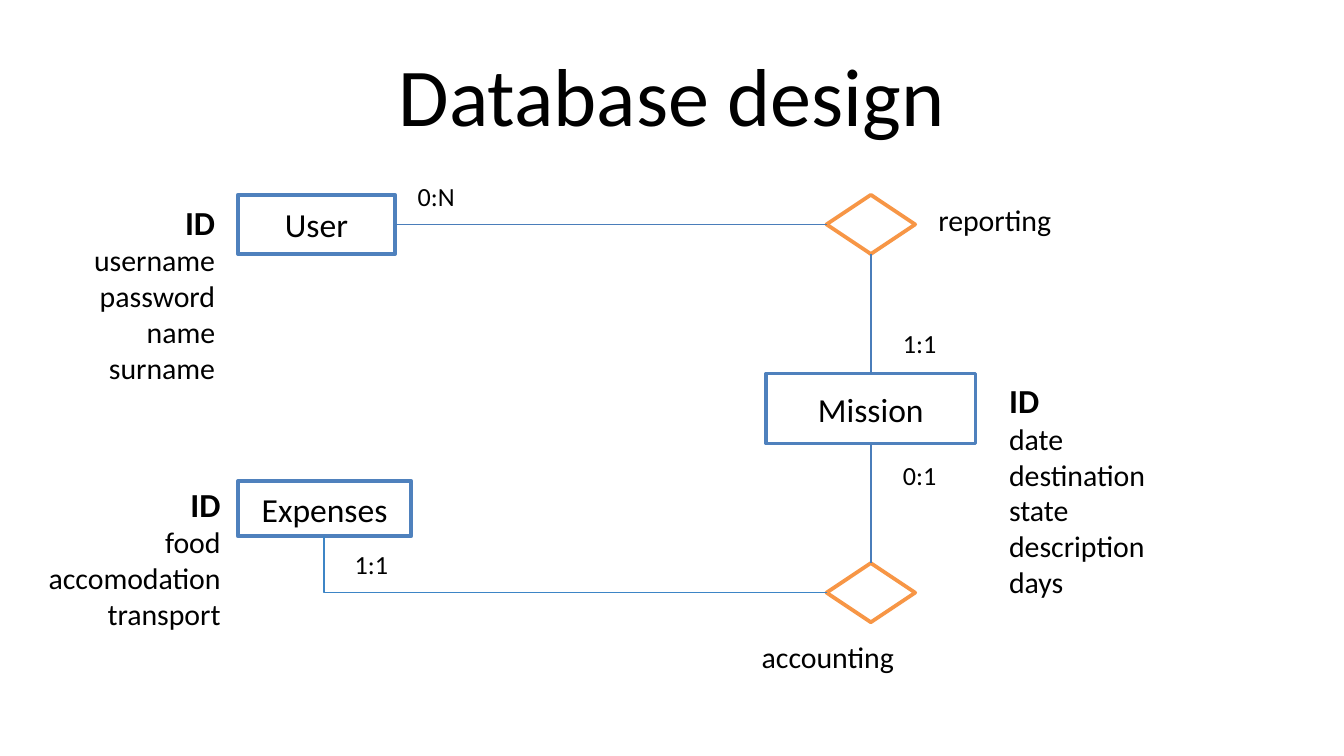
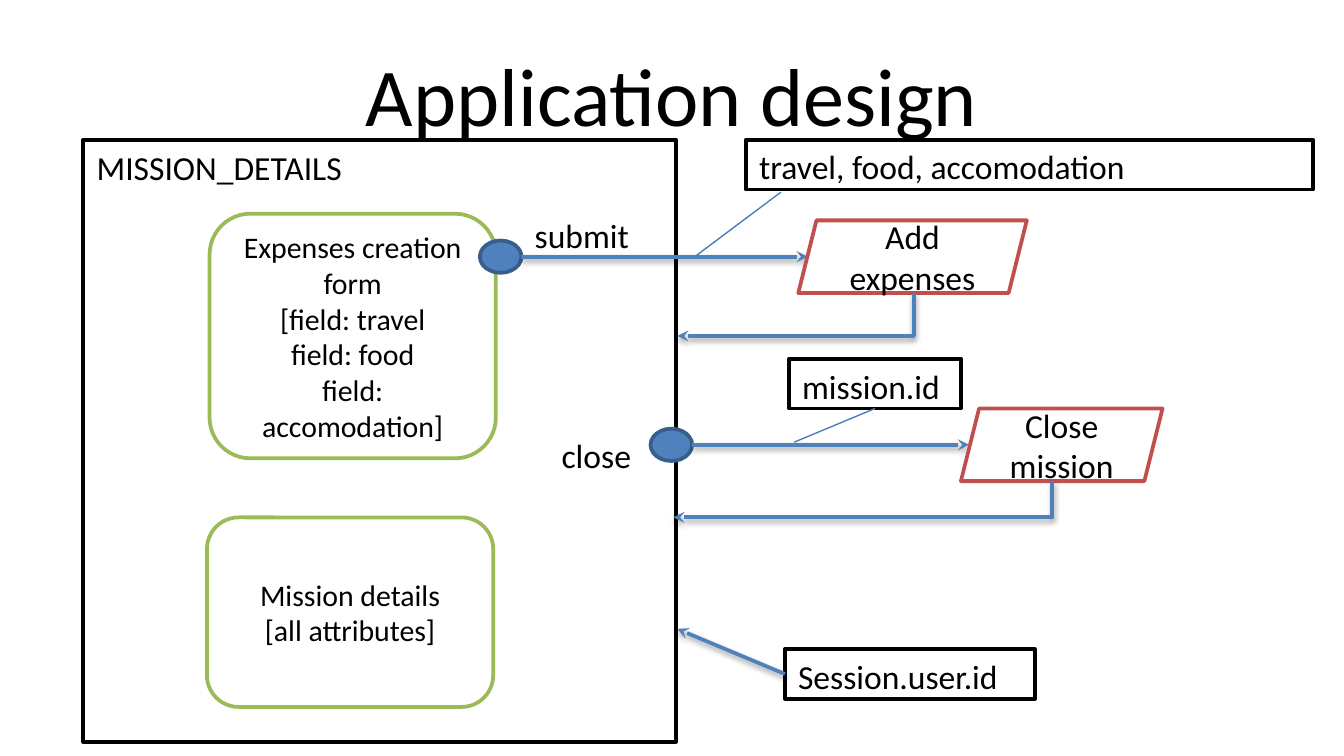
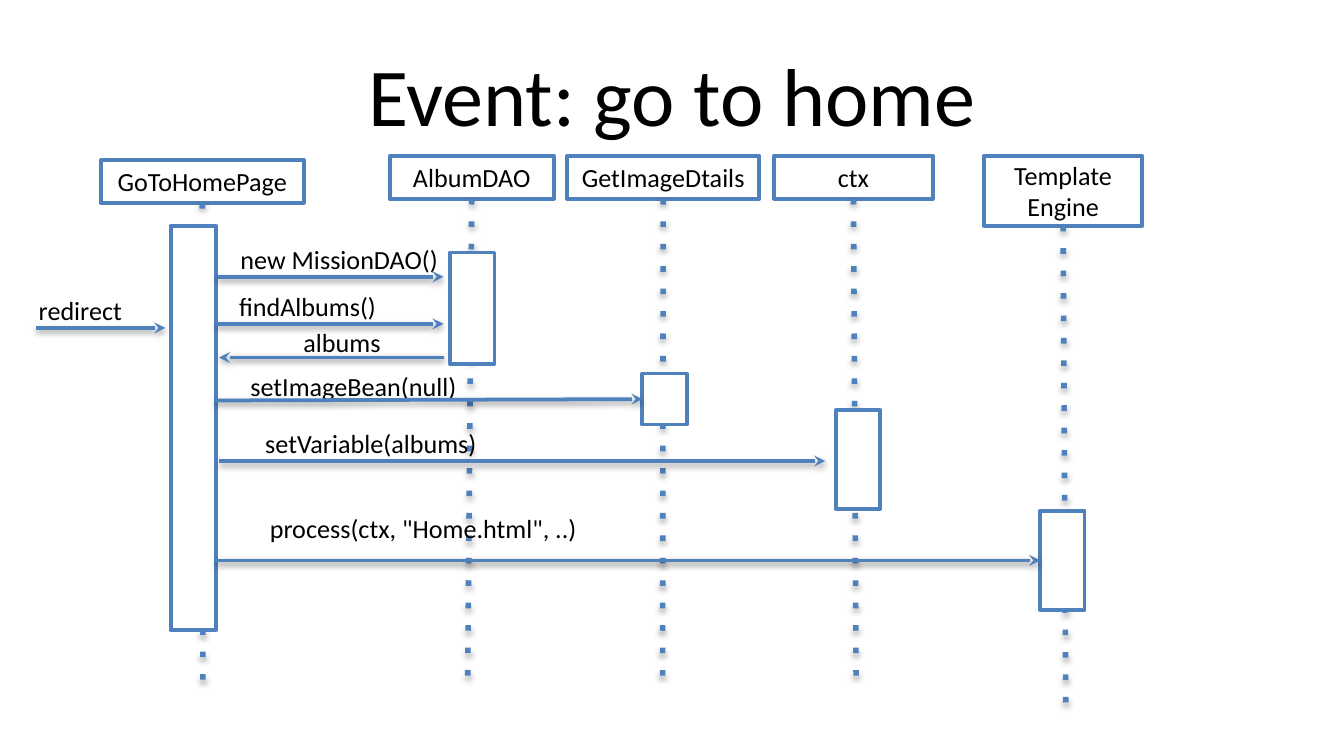
from lxml.etree import SubElement
from pptx import Presentation
from pptx.dml.color import RGBColor
from pptx.enum.shapes import MSO_CONNECTOR, MSO_SHAPE
from pptx.enum.text import MSO_ANCHOR, MSO_AUTO_SIZE, PP_ALIGN
from pptx.oxml.ns import qn
from pptx.util import Pt

PX = 9144
FONT = "Calibri"
COLORS = {
    "white": "FFFFFF",
    "black": "000000",
    "blue": "4F81BD",
    "thin": "4A7DBA",
    "sky": "3D85C6",
    "navy": "395E89",
    "orange": "F79646",
    "green": "9BBB59",
    "red": "C0504D",
}
LEFT, CENTER, RIGHT = PP_ALIGN.LEFT, PP_ALIGN.CENTER, PP_ALIGN.RIGHT


def rgb(name):
    return RGBColor.from_string(COLORS[name])


def emu(*lengths):
    return [n * PX for n in lengths]


def write(shape, lines, size, align=LEFT, anchor=MSO_ANCHOR.TOP, bold_first=False):
    tf = shape.text_frame
    tf.word_wrap = True
    tf.auto_size = MSO_AUTO_SIZE.NONE
    tf.vertical_anchor = anchor
    for i, line in enumerate(lines):
        p = tf.paragraphs[0] if i == 0 else tf.add_paragraph()
        p.text = line
        p.alignment = align
        heading = bold_first and i == 0
        points = size + 2 if heading else size
        for r in p.runs:
            r.font.name = FONT
            r.font.size = Pt(points)
            r.font.bold = heading
            r.font.color.rgb = rgb("black")
        for br in p._p.findall(qn("a:br")):
            SubElement(br, qn("a:rPr"), sz=str(points * 100))


def add_label(s, box, lines, size, align=LEFT, bold_first=False):
    write(s.shapes.add_textbox(*emu(*box)), lines, size, align, bold_first=bold_first)


def add_box(s, kind, box, line, lines=(), size=18, align=CENTER,
            anchor=MSO_ANCHOR.MIDDLE, fill="white"):
    sp = s.shapes.add_shape(kind, *emu(*box))
    sp.shadow.inherit = False
    sp.fill.solid()
    sp.fill.fore_color.rgb = rgb(fill)
    sp.line.color.rgb = rgb(line)
    sp.line.width = Pt(2)
    write(sp, lines, size, align, anchor)
    return sp


def add_line(s, start, end, color="thin", width=0.75, dash=None, arrow=False, shadow=None):
    c = s.shapes.add_connector(MSO_CONNECTOR.STRAIGHT, *emu(*start, *end))
    c.line.color.rgb = rgb(color)
    c.line.width = Pt(width)
    ln = c.line._get_or_add_ln()
    if dash:
        SubElement(ln, qn("a:prstDash"), val=dash)
    if arrow:
        SubElement(ln, qn("a:tailEnd"), type="stealth")
    effects = SubElement(c._element.spPr, qn("a:effectLst"))
    if shadow:
        dist, alpha = shadow
        shade = SubElement(effects, qn("a:outerShdw"), blurRad="40000", dist=str(dist),
                           dir="5400000", rotWithShape="0")
        tone = SubElement(shade, qn("a:srgbClr"), val=COLORS["black"])
        SubElement(tone, qn("a:alpha"), val=str(alpha * 1000))
    return c


def add_arrow(s, start, end):
    return add_line(s, start, end, "blue", 2, arrow=True, shadow=(20000, 38))


def bend_down_then_across(c):
    rightward = c.end_x > c.begin_x
    mid_x, mid_y = (c.begin_x + c.end_x) // 2, (c.begin_y + c.end_y) // 2
    c.width, c.height = c.height, c.width
    c.left, c.top = mid_x - c.width // 2, mid_y - c.height // 2
    spPr = c._element.spPr
    spPr.find(qn("a:prstGeom")).set("prst", "bentConnector2")
    xfrm = spPr.find(qn("a:xfrm"))
    xfrm.set("rot", "16200000" if rightward else "5400000")
    xfrm.set("flipH", "1" if rightward else "0")


def add_slide(prs, title):
    s = prs.slides.add_slide(prs.slide_layouts[5])
    sp = s.shapes.title
    sp.left, sp.top, sp.width, sp.height = emu(50, 23, 900, 94)
    write(sp, [title], 44, CENTER, MSO_ANCHOR.MIDDLE)
    return s


def add_entity(s, box, name, attributes, offset, size, align):
    x, y = box[:2]
    add_label(s, (x + offset[0], y + offset[1], *size), ["ID"] + attributes, 16, align, True)
    return add_box(s, MSO_SHAPE.RECTANGLE, box, "blue", [name])


def add_relation(s, x, y, name, offset, width):
    add_label(s, (x + offset[0], y + offset[1], width, 28), [name], 16, RIGHT)
    return add_box(s, MSO_SHAPE.DIAMOND, (x, y, 66, 44), "orange")


def database_slide(prs):
    s = add_slide(prs, "Database design")
    add_entity(s, (177, 358, 129, 41), "Expenses", ["food", "accomodation", "transport"],
               (-172, -3), (169, 125), RIGHT)
    user = add_entity(s, (177, 145, 117, 44), "User",
                      ["username", "password", "name", "surname"],
                      (-154, 0), (147, 142), RIGHT)
    mission = add_entity(s, (570, 278, 156, 52), "Mission",
                         ["date", "destination", "state", "description", "days"],
                         (171, 0), (162, 187), LEFT)
    reporting = add_relation(s, 615, 145, "reporting", (72, 0), 105)
    accounting = add_relation(s, 615, 419, "accounting", (-60, 51), 120)
    for start, start_side, end, end_side in [
        (user, 3, reporting, 1),
        (reporting, 2, mission, 0),
        (accounting, 0, mission, 2),
    ]:
        c = add_line(s, (0, 0), (0, 0))
        c.begin_connect(start, start_side)
        c.end_connect(end, end_side)
    bend_down_then_across(add_line(s, (241, 399), (615, 441), "sky"))
    for x, y, cardinality in [(301, 129, "0:N"), (662, 337, "0:1"),
                              (254, 403, "1:1"), (662, 239, "1:1")]:
        add_label(s, (x, y, 56, 28), [cardinality], 14)


def add_page(s, x, y):
    add_box(s, MSO_SHAPE.RECTANGLE, (x, y, 441, 448), "black", ["MISSION_DETAILS"],
            align=LEFT, anchor=MSO_ANCHOR.TOP)
    for dx, dy, height, lines in [
        (94, 55, 182, ["Expenses creation form\n[field: travel", "field: food",
                       "field: accomodation]"]),
        (92, 281, 141, ["Mission details\n[all attributes]"]),
    ]:
        add_box(s, MSO_SHAPE.ROUNDED_RECTANGLE, (x + dx, y + dy, 213, height),
                "green", lines, 16)


def add_event(s, x, y, name, offset, arrow_end):
    add_box(s, MSO_SHAPE.OVAL, (x, y, 31, 24), "navy", fill="blue")
    add_label(s, (x + offset[0], y + offset[1], 91, 30), [name], 18)
    add_arrow(s, (x + 31, y + 12), (arrow_end, y + 12))


def add_action(s, box, name, back_from, back_to):
    add_box(s, MSO_SHAPE.PARALLELOGRAM, box, "red", [name])
    bend_down_then_across(add_arrow(s, (back_from, box[1] + box[3]), back_to))


def add_parameter(s, x, y, width, name):
    return add_box(s, MSO_SHAPE.RECTANGLE, (x, y, width, 37), "black", [name],
                   align=LEFT, anchor=MSO_ANCHOR.TOP)


def application_slide(prs):
    s = add_slide(prs, "Application design")
    add_page(s, 62, 104)
    add_event(s, 357, 179, "submit", (31, -24), 601)
    add_event(s, 484, 319, "close", (-76, 0), 721)
    add_action(s, (594, 164, 170, 54), "Add expenses", 680, (504, 250))
    add_action(s, (715, 304, 150, 54), "Close mission", 783, (501, 385))
    add_parameter(s, 555, 104, 422, "travel, food, accomodation")
    add_line(s, (581, 143), (517, 191))
    mission_id = add_parameter(s, 587, 267, 128, "mission.id")
    add_line(s, (651, 304), (591, 329)).begin_connect(mission_id, 2)
    session = add_parameter(s, 584, 483, 186, "Session.user.id")
    add_arrow(s, (584, 502), (504, 468)).begin_connect(session, 1)


def add_lifeline(s, box, name, stem_end, bar):
    x, y, w, h = box
    header = add_box(s, MSO_SHAPE.RECTANGLE, box, "blue", [name], 14)
    stem = add_line(s, (x + w // 2, y + h), stem_end, "blue", 3, dash="dot",
                    shadow=(23000, 35))
    stem.begin_connect(header, 2)
    dx, dy, width, height = bar
    return add_box(s, MSO_SHAPE.RECTANGLE, (x + dx, y + dy, width, height), "blue")


def add_message(s, start, end, text, offset, width, align=LEFT):
    left, top = min(start[0], end[0]), start[1]
    add_label(s, (left + offset[0], top + offset[1], width, 28), [text], 14, align)
    return add_arrow(s, start, end)


def event_slide(prs):
    s = add_slide(prs, "Event: go to home")
    add_lifeline(s, (75, 119, 151, 32), "GoToHomePage", (151, 507), (52, 49, 34, 301))
    add_lifeline(s, (290, 116, 122, 32), "AlbumDAO", (348, 504), (45, 72, 33, 83))
    details = add_lifeline(s, (422, 116, 143, 32), "GetImageDtails", (493, 504),
                           (56, 162, 33, 38))
    add_lifeline(s, (576, 116, 118, 32), "ctx", (637, 504), (46, 189, 33, 74))
    engine = add_lifeline(s, (732, 116, 118, 52), "Template\nEngine", (793, 525),
                          (42, 264, 33, 74))
    add_message(s, (27, 244), (123, 244), "redirect", (-8, -30), 100)
    add_message(s, (162, 206), (330, 206), "new MissionDAO()", (7, -30), 291)
    add_message(s, (161, 241), (330, 241), "findAlbums()", (7, -30), 291)
    add_message(s, (330, 266), (163, 266), "albums", (53, -28), 100)
    add_message(s, (160, 298), (478, 297), "setImageBean(null)", (1, -27), 204,
                CENTER).end_connect(details, 1)
    add_message(s, (163, 343), (614, 343), "setVariable(albums)", (11, -30), 204, CENTER)
    add_message(s, (160, 417), (774, 417), 'process(ctx, "Home.html", ..)', (14, -41), 282,
                CENTER).end_connect(engine, 1)


def main():
    prs = Presentation()
    prs.slide_width = 1000 * PX
    prs.slide_height = prs.slide_width * 9 // 16
    database_slide(prs)
    application_slide(prs)
    event_slide(prs)
    prs.save("out.pptx")


if __name__ == "__main__":
    main()
